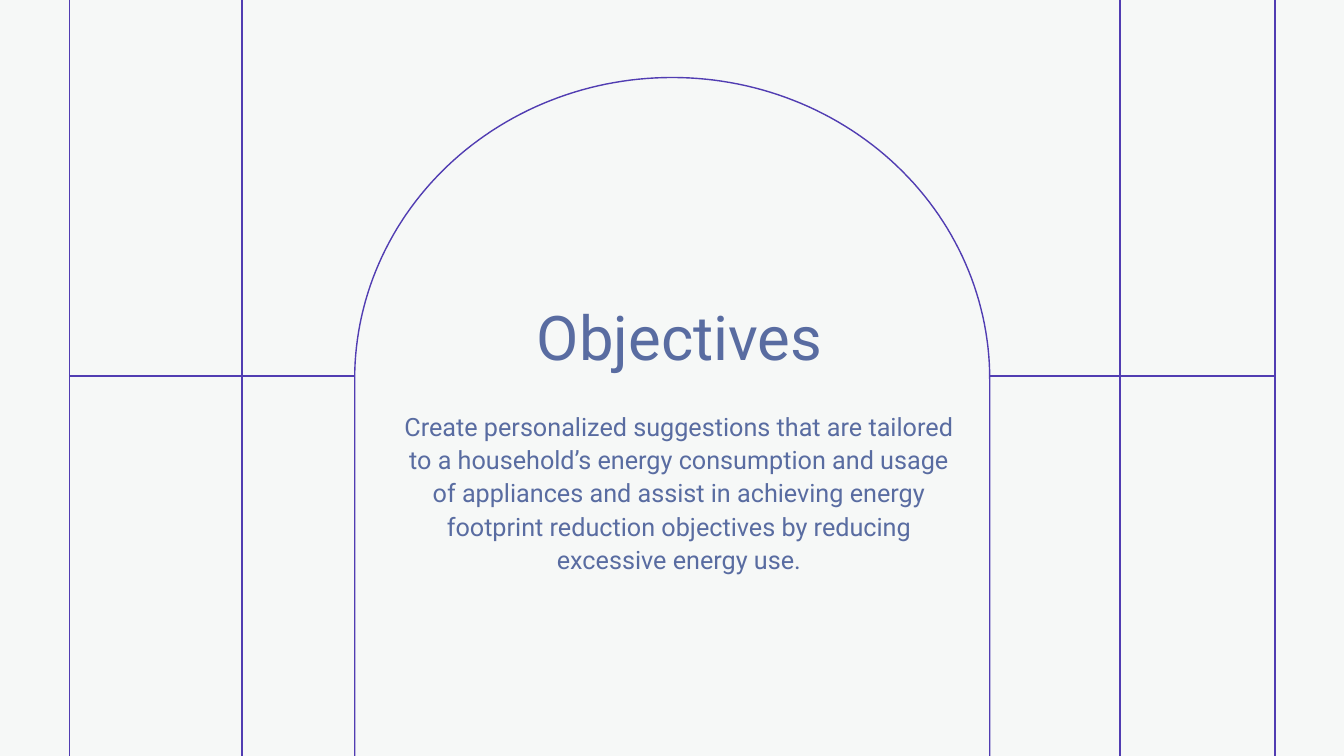
from dataclasses import dataclass
from math import cos, pi, sin

from lxml import etree
from pptx import Presentation
from pptx.dml.color import RGBColor
from pptx.enum.shapes import MSO_CONNECTOR
from pptx.enum.text import MSO_ANCHOR, MSO_AUTO_SIZE, PP_ALIGN
from pptx.oxml.ns import qn
from pptx.util import Pt

STRAIGHT = MSO_CONNECTOR.STRAIGHT
TOP, BOTTOM = MSO_ANCHOR.TOP, MSO_ANCHOR.BOTTOM
NO_AUTOFIT = MSO_AUTO_SIZE.NONE
CENTER = PP_ALIGN.CENTER
TITLE_ONLY = 5

PAGE_WIDTH, PAGE_HEIGHT = 960, 540
PILLARS = (49.7, 172.8, 799.9, 910.8)
ARCH_LEFT, ARCH_RIGHT = 253.4, 707
ARCH_TOP, ARCH_SPRING = 55.4, 270.7
WING_Y = 268.6
ARCH_STEPS = 120

OBJECTIVE = (
    "Create personalized suggestions that are tailored to a household’s "
    "energy consumption and usage of appliances and assist in achieving "
    "energy footprint reduction objectives by reducing excessive energy use."
)


@dataclass(frozen=True)
class Theme:
    paper: RGBColor = RGBColor(0xF6, 0xF8, 0xF7)
    outline: RGBColor = RGBColor(0x51, 0x3D, 0xB2)
    text: RGBColor = RGBColor(0x59, 0x6C, 0xA1)
    font: str = "Roboto"
    title_size: int = 44
    body_size: int = 18
    line_width: int = 1


THEME = Theme()


def set_attributes(target, values):
    for name, value in values.items():
        setattr(target, name, value)


def style_outline(line):
    line.color.rgb = THEME.outline
    line.width = Pt(THEME.line_width)


def add_line(page, x1, y1, x2, y2):
    line = page.shapes.add_connector(STRAIGHT, Pt(x1), Pt(y1), Pt(x2), Pt(y2))
    style_outline(line.line)
    etree.SubElement(line._element.spPr, qn("a:effectLst"))


def add_arch(page):
    """Draw two upright sides joined by half an ellipse, open at the bottom."""
    center = (ARCH_LEFT + ARCH_RIGHT) / 2
    radius_x = (ARCH_RIGHT - ARCH_LEFT) / 2
    radius_y = ARCH_SPRING - ARCH_TOP
    angles = [pi * step / ARCH_STEPS for step in range(ARCH_STEPS + 1)]
    points = [
        (Pt(center - radius_x * cos(angle)), Pt(ARCH_SPRING - radius_y * sin(angle)))
        for angle in angles
    ]
    points.append((Pt(ARCH_RIGHT), Pt(PAGE_HEIGHT)))
    builder = page.shapes.build_freeform(Pt(ARCH_LEFT), Pt(PAGE_HEIGHT))
    builder.add_line_segments(points, close=False)
    arch = builder.convert_to_shape()
    arch.shadow.inherit = False
    arch.fill.background()
    style_outline(arch.line)


def write_text(box, text, size, anchor, line_spacing):
    frame = box.text_frame
    frame.text = text
    set_attributes(frame, {
        "word_wrap": True, "auto_size": NO_AUTOFIT, "vertical_anchor": anchor,
    })
    para = frame.paragraphs[0]
    set_attributes(para, {"alignment": CENTER, "line_spacing": line_spacing})
    span = para.runs[0]
    set_attributes(span.font, {"name": THEME.font, "size": Pt(size)})
    span.font.color.rgb = THEME.text


def main():
    deck = Presentation()
    set_attributes(deck, {
        "slide_width": Pt(PAGE_WIDTH), "slide_height": Pt(PAGE_HEIGHT),
    })
    page = deck.slides.add_slide(deck.slide_layouts[TITLE_ONLY])
    page.background.fill.solid()
    page.background.fill.fore_color.rgb = THEME.paper

    for x in PILLARS:
        add_line(page, x, 0, x, PAGE_HEIGHT)
    for start, end in ((PILLARS[0], ARCH_LEFT), (ARCH_RIGHT, PILLARS[-1])):
        add_line(page, start, WING_Y, end, WING_Y)
    add_arch(page)

    title = page.shapes.title
    set_attributes(title, {
        "left": Pt(276.5), "top": Pt(148.3), "width": Pt(418.3), "height": Pt(121.7),
    })
    write_text(title, "Objectives", THEME.title_size, BOTTOM, 1.0)
    body = page.shapes.add_textbox(Pt(275.8), Pt(288), Pt(418.3), Pt(205.2))
    write_text(body, OBJECTIVE, THEME.body_size, TOP, 1.1)

    deck.save("out.pptx")


if __name__ == "__main__":
    main()
